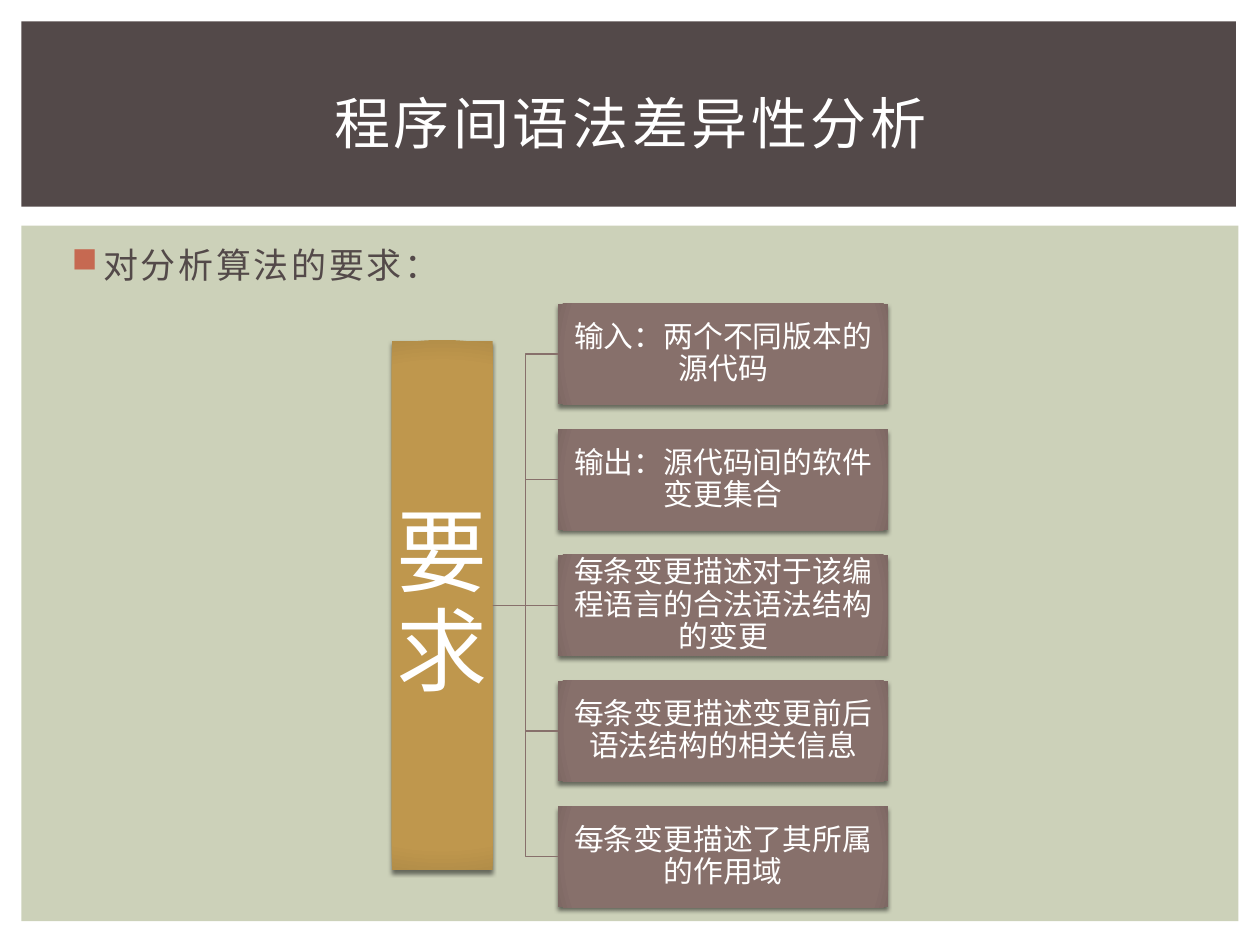
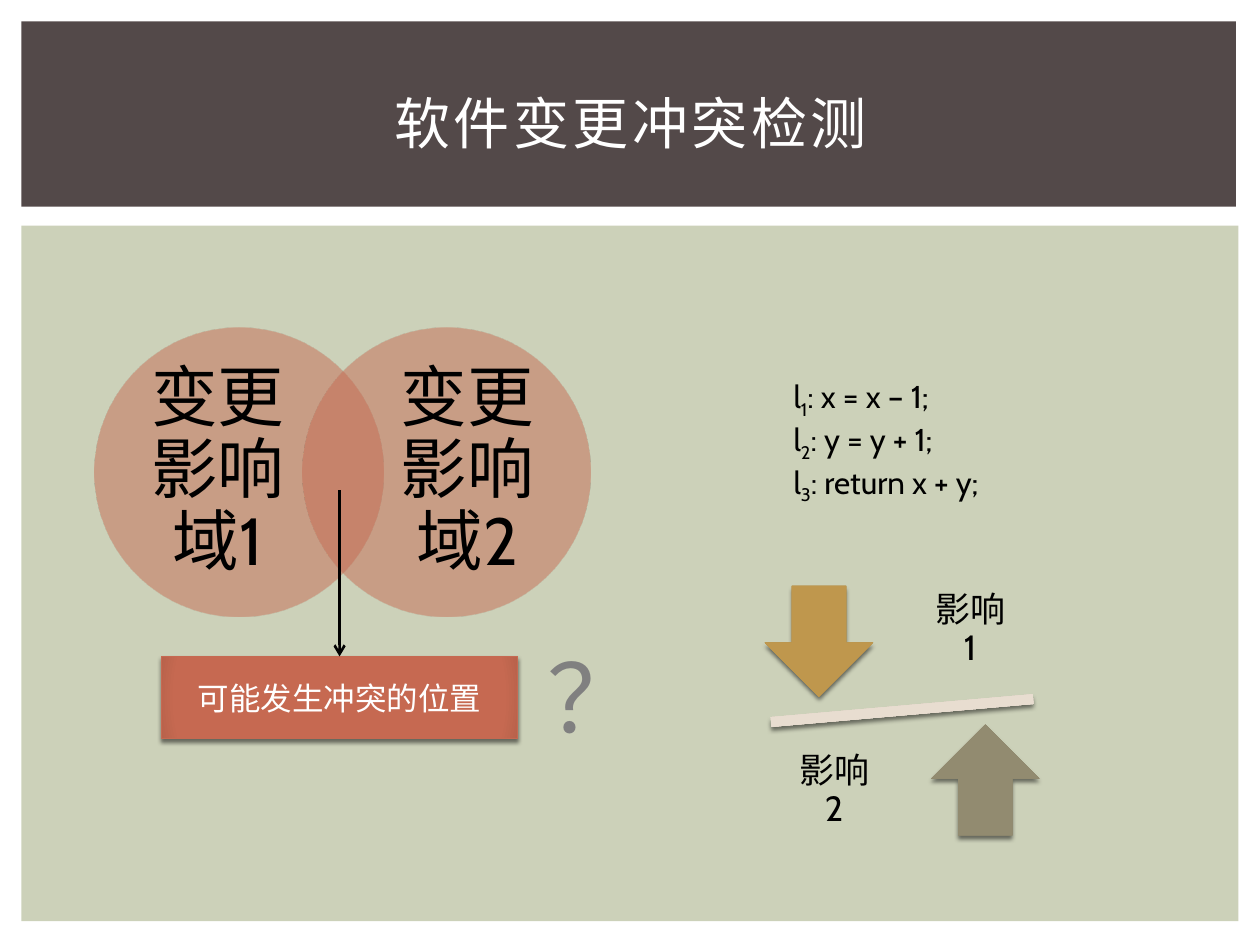
from dataclasses import dataclass

from lxml import etree
from pptx import Presentation
from pptx.dml.color import RGBColor
from pptx.enum.shapes import MSO_CONNECTOR, MSO_SHAPE
from pptx.enum.text import MSO_ANCHOR, PP_ALIGN
from pptx.oxml import parse_xml
from pptx.oxml.ns import nsdecls, qn
from pptx.util import Inches, Pt

RECT, OVAL, MINUS = MSO_SHAPE.RECTANGLE, MSO_SHAPE.OVAL, MSO_SHAPE.MATH_MINUS
DOWN, UP = MSO_SHAPE.DOWN_ARROW, MSO_SHAPE.UP_ARROW
STRAIGHT, ELBOW = MSO_CONNECTOR.STRAIGHT, MSO_CONNECTOR.ELBOW
TOP, MIDDLE = MSO_ANCHOR.TOP, MSO_ANCHOR.MIDDLE
LEFT, CENTER = PP_ALIGN.LEFT, PP_ALIGN.CENTER
TOP_SIDE, LEFT_SIDE, RIGHT_SIDE = 0, 1, 3
COLUMNS, ROWS = 100, 75  # grid of square cells
CELL = Inches(0.1)


@dataclass(frozen=True)
class Theme:
    font: str = "Cabin"
    panel: str = "CCD1B9"
    dark: str = "534949"
    white: str = "FFFFFF"
    black: str = "000000"
    grey: str = "808080"
    # each pair is a fill's centre and its slightly darker edge
    red: tuple = ("C66951", "B8624B")
    gold: tuple = ("BF974D", "B28D48")
    mauve: tuple = ("87706B", "7E6864")
    olive: tuple = ("928B70", "888268")
    sand: tuple = ("E8DDD0", "D8CEC2")
    title_pt: int = 32
    bullet_pt: int = 20
    item_pt: int = 17
    body_pt: int = 18
    heading_pt: int = 52
    circle_pt: int = 38
    mark_pt: int = 54
    thin_pt: float = 0.79
    arrow_pt: float = 1.5


THEME = Theme()


@dataclass(frozen=True)
class Box:
    """An area in grid cells."""
    x: float
    y: float
    w: float
    h: float

    def inner(self, x, y, w, h):
        return Box(self.x + x, self.y + y, w, h)

    def opposite(self, part):
        """The part turned half a turn about the middle of this box."""
        return Box(2 * self.x + self.w - part.x - part.w,
                   2 * self.y + self.h - part.y - part.h, part.w, part.h)

    def emu(self):
        return [round(v * CELL) for v in (self.x, self.y, self.w, self.h)]


TITLE_BAND = Box(1.7, 1.7, 96.4, 14.7)
PANEL = Box(1.7, 17.9, 96.6, 55.2)
TITLE_TEXT = Box(4.2, 3.9, 91.7, 11.5)


def apply(target, values):
    for name, value in values.items():
        setattr(target, name, value)


def soft_fill(shape, tones, alpha=100):
    """Radial fill that darkens only at the edge."""
    stops = "".join(
        f'<a:gs pos="{pos * 1000}"><a:srgbClr val="{tone}">'
        f'<a:alpha val="{alpha * 1000}"/></a:srgbClr></a:gs>'
        for pos, tone in ((0, tones[0]), (90, tones[0]), (100, tones[1])))
    shape._element.spPr.find(qn("a:prstGeom")).addnext(parse_xml(
        f'<a:gradFill {nsdecls("a")} rotWithShape="1"><a:gsLst>{stops}</a:gsLst>'
        '<a:path path="circle"><a:fillToRect l="100000" t="100000" '
        'r="100000" b="100000"/></a:path></a:gradFill>'))


def drop_shadow(shape):
    effects = shape._element.spPr.find(qn("a:effectLst"))
    effects.append(parse_xml(
        f'<a:outerShdw {nsdecls("a")} blurRad="{Pt(2.5)}" dist="{Pt(2)}" '
        'dir="5400000" rotWithShape="0"><a:srgbClr val="000000">'
        '<a:alpha val="50000"/></a:srgbClr></a:outerShdw>'))


def add_figure(slide, preset, box, fill, alpha=100, shadow=False):
    """A flat shape for one colour, a soft one for a pair of tones."""
    shape = slide.shapes.add_shape(preset, *box.emu())
    shape.shadow.inherit = False
    shape.line.fill.background()
    if isinstance(fill, tuple):
        soft_fill(shape, fill, alpha)
    else:
        shape.fill.solid()
        shape.fill.fore_color.rgb = RGBColor.from_string(fill)
    if shadow:
        drop_shadow(shape)
    return shape


def style_run(run, size, color, tracking=0):
    apply(run.font, {"size": Pt(size), "name": THEME.font})
    run.font.color.rgb = RGBColor.from_string(color)
    if tracking:
        run._r.get_or_add_rPr().set("spc", str(round(tracking * 100)))


def write(shape, text, size, color, inset=None, align=CENTER, anchor=MIDDLE,
          spacing=None, tracking=0):
    frame = shape.text_frame
    apply(frame, {"word_wrap": True, "vertical_anchor": anchor})
    if inset is not None:
        sides = ("left", "top", "right", "bottom")
        apply(frame, {f"margin_{side}": Inches(inset) for side in sides})
    paragraph = frame.paragraphs[0]
    apply(paragraph, {"alignment": align, "line_spacing": spacing})
    run = paragraph.add_run()
    run.text = text
    style_run(run, size, color, tracking)
    return paragraph


def add_text(slide, box, *args, **style):
    return write(slide.shapes.add_textbox(*box.emu()), *args, **style)


def add_link(slide, kind, color, width):
    link = slide.shapes.add_connector(kind, 0, 0, 0, 0)
    link.line.color.rgb = RGBColor.from_string(color)
    link.line.width = Pt(width)
    etree.SubElement(link._element.spPr, qn("a:effectLst"))
    return link


def add_page(deck, title):
    slide = deck.slides.add_slide(deck.slide_layouts[6])
    add_figure(slide, RECT, PANEL, THEME.panel)
    add_figure(slide, RECT, TITLE_BAND, THEME.dark)
    add_text(slide, TITLE_TEXT, title, THEME.title_pt, THEME.white, tracking=2)
    return slide


def add_bullet(slide, box, text):
    paragraph = add_text(slide, box, text, THEME.bullet_pt, THEME.dark,
                         align=LEFT, anchor=TOP, tracking=1.5)
    paragraph.space_before = Pt(4)
    props = paragraph._p.get_or_add_pPr()
    props.set("marL", str(Inches(0.3)))
    props.set("indent", str(Inches(-0.25)))
    color = etree.SubElement(props, qn("a:buClr"))
    etree.SubElement(color, qn("a:srgbClr"), val=THEME.red[0])
    etree.SubElement(props, qn("a:buChar"), char="■")


def add_requirement_tree(slide, box, heading, requirements):
    bar_w, bar_h, item_w, item_h = 8, 42, 26.2, 8
    pitch = (box.h - item_h) / (len(requirements) - 1)
    bar = add_figure(slide, RECT, box.inner(0, (box.h - bar_h) / 2, bar_w, bar_h),
                     THEME.gold, shadow=True)
    write(bar, heading, THEME.heading_pt, THEME.white, inset=0, spacing=0.9)
    for row, requirement in enumerate(requirements):
        place = box.inner(box.w - item_w, row * pitch, item_w, item_h)
        item = add_figure(slide, RECT, place, THEME.mauve, shadow=True)
        write(item, requirement, THEME.item_pt, THEME.white, inset=0.01, spacing=0.9)
        branch = add_link(slide, ELBOW, THEME.mauve[0], THEME.thin_pt)
        branch.begin_connect(bar, RIGHT_SIDE)
        branch.end_connect(item, LEFT_SIDE)


def add_overlap(slide, box, domains):
    """Two see-through circles that share a lens in the middle."""
    circle = box.inner(0, 0, box.h, box.h)
    label = box.inner(3.2, 2.7, 13.2, 17.5)
    places = ((circle, label), (box.opposite(circle), box.opposite(label)))
    for domain, (area, caption) in zip(domains, places):
        add_figure(slide, OVAL, area, THEME.red, alpha=50)
        add_text(slide, caption, domain, THEME.circle_pt, THEME.black,
                 inset=0, spacing=0.9)


def add_conflict(slide, box, text, mark):
    """Red box with an arrow from the lens above it and a mark beside it."""
    conflict = add_figure(slide, RECT, box, THEME.red, shadow=True)
    conflict.line.color.rgb = RGBColor.from_string(THEME.red[0])
    conflict.line.width = Pt(THEME.thin_pt)
    write(conflict, text, THEME.body_pt, THEME.white)
    pointer = add_link(slide, STRAIGHT, THEME.black, THEME.arrow_pt)
    pointer.end_connect(conflict, TOP_SIDE)
    pointer.begin_x = pointer.end_x
    pointer.begin_y = round((box.y - 13.2) * CELL)
    etree.SubElement(pointer.line._get_or_add_ln(), qn("a:tailEnd"), type="arrow")
    add_text(slide, box.inner(29.7, -1.9, 21.9, 10.1), mark, THEME.mark_pt,
             THEME.grey, align=LEFT, anchor=TOP)


def add_balance(slide, box, effects):
    """Tilted beam between two opposed arrows, each with an effect beside it."""
    beam = add_figure(slide, MINUS, box.inner(0, (box.h - 3.3) / 2, box.w, 3.3),
                      THEME.sand, shadow=True)
    beam.rotation = 355
    arrow = box.inner(3.3, 1.1, 8.6, 8.8)
    label = box.inner(15, 0, 9.2, 9.2)
    sides = ((DOWN, THEME.gold, arrow, label),
             (UP, THEME.olive, box.opposite(arrow), box.opposite(label)))
    for effect, (preset, tones, area, caption) in zip(effects, sides):
        add_figure(slide, preset, area, tones, shadow=True)
        add_text(slide, caption, effect, THEME.bullet_pt, THEME.black,
                 inset=0.16, spacing=0.9)


def add_code(slide, box, statements):
    """Statements labelled l with a lowered line number."""
    frame = slide.shapes.add_textbox(*box.emu()).text_frame
    frame.word_wrap = False
    for number, statement in enumerate(statements, 1):
        line = frame.paragraphs[0] if number == 1 else frame.add_paragraph()
        for text, baseline in (("l", 0), (str(number), -25), (f": {statement}", 0)):
            run = line.add_run()
            run.text = text
            style_run(run, THEME.body_pt, THEME.black)
            if baseline:
                run._r.get_or_add_rPr().set("baseline", str(baseline * 1000))


def build_requirements(deck):
    slide = add_page(deck, "程序间语法差异性分析")
    add_bullet(slide, PANEL.inner(2.5, 0.9, 91.9, 5), "对分析算法的要求：")
    add_requirement_tree(slide, PANEL.inner(29.4, 6.2, 39.4, 47.9), "要求", (
        "输入：两个不同版本的源代码",
        "输出：源代码间的软件变更集合",
        "每条变更描述对于该编程语言的合法语法结构的变更",
        "每条变更描述变更前后语法结构的相关信息",
        "每条变更描述了其所属的作用域"))


def build_conflicts(deck):
    slide = add_page(deck, "软件变更冲突检测")
    add_overlap(slide, PANEL.inner(5.8, 8.1, 39.4, 22.9),
                ("变更影响域1", "变更影响域2"))
    add_conflict(slide, PANEL.inner(11.1, 34.2, 28.3, 6.5),
                 "可能发生冲突的位置", "？")
    add_balance(slide, PANEL.inner(55.7, 27.5, 28.4, 22), ("影响1", "影响2"))
    add_code(slide, PANEL.inner(60.3, 11.5, 17.7, 10.1),
             ("x = x – 1;", "y = y + 1;", "return x + y;"))


def main():
    deck = Presentation()
    apply(deck, {"slide_width": COLUMNS * CELL, "slide_height": ROWS * CELL})
    build_requirements(deck)
    build_conflicts(deck)
    deck.save("out.pptx")


if __name__ == "__main__":
    main()
